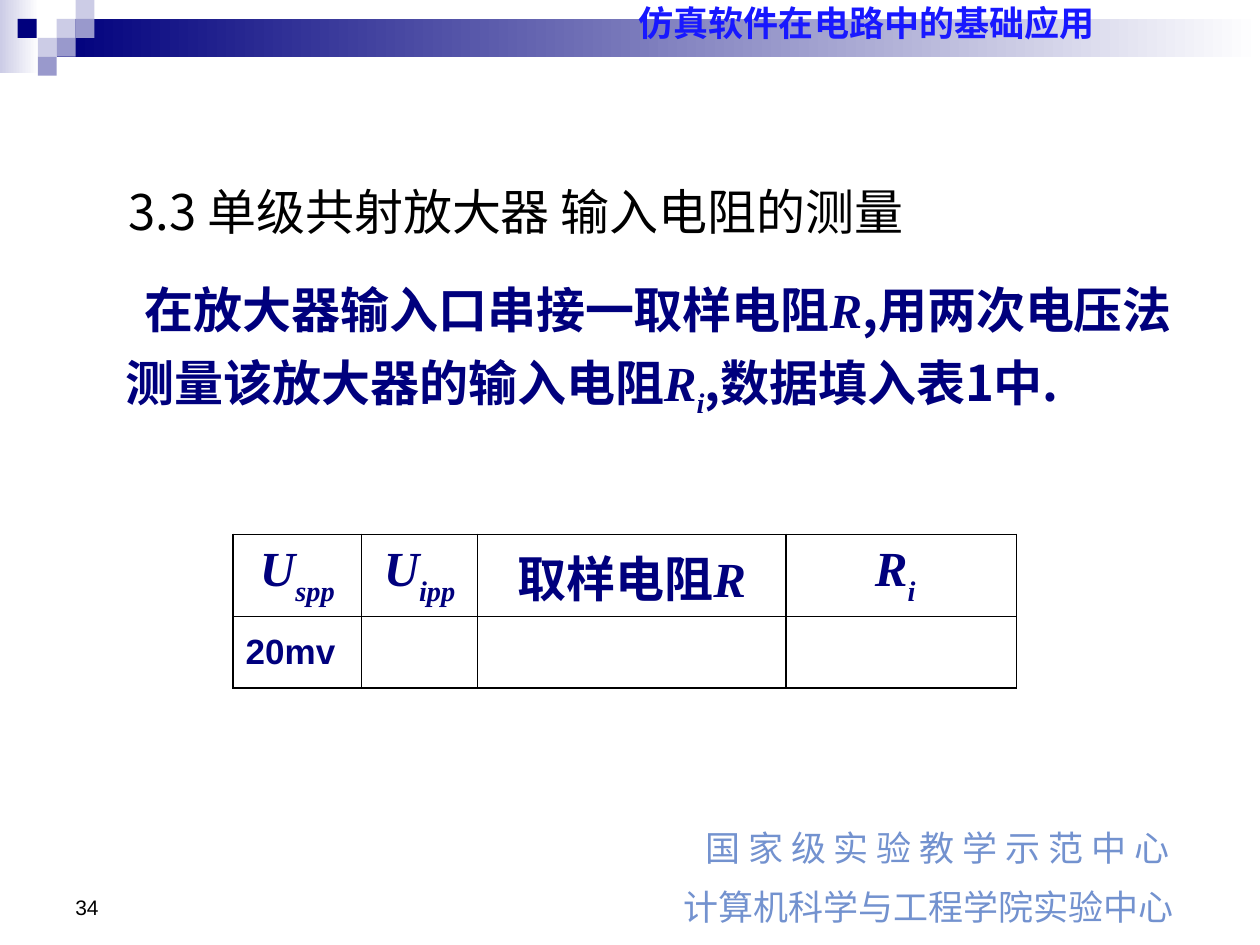
import pptx
import pptx.util
import pptx.dml.color
import pptx.enum.shapes
import pptx.enum.text
import pptx.oxml.ns
from lxml import etree

Inches, Pt = pptx.util.Inches, pptx.util.Pt
ALIGN, ANCHOR = pptx.enum.text.PP_ALIGN, pptx.enum.text.MSO_ANCHOR
qn = pptx.oxml.ns.qn
SANS, SERIF, CJK = "Arial", "Times New Roman", "Noto Sans CJK SC"
NAVY, LILAC, VIOLET = "00007D", "CCCCE6", "9999CC"

# Content: a run is (text, style), with style "" upright, "i" italic, "sub" subscript
header = "仿真软件在电路中的基础应用"
title = "3.3 单级共射放大器 输入电阻的测量"
body = [("在放大器输入口串接一取样电阻", ""), ("R", "i"),
        (",用两次电压法测量该放大器的输入电阻", ""), ("R", "i"), ("i", "sub"),
        (",数据填入表1中.", "")]
columns = [(1.02, [("U", "i"), ("spp", "sub")]),
           (0.92, [("U", "i"), ("ipp", "sub")]),
           (2.45, [("取样电阻", ""), ("R", "i")]),
           (1.83, [("R", "i"), ("i", "sub")])]
first_value = "20mv"
footer = ["国 家 级 实 验 教 学 示 范 中 心", "计算机科学与工程学院实验中心"]
page = "34"

# Decoration: bands are (box, start colour); squares are (left, row, colour)
bands = [((0, 0, 0.31, 0.58), LILAC), ((0.45, 0.15, 9.55, 0.3), NAVY)]
SQUARE = 0.15
squares = [(0.45, 1, LILAC), (0.6, 0, LILAC), (0.6, 1, VIOLET), (0.3, 2, LILAC),
           (0.14, 1, NAVY), (0.45, 2, VIOLET), (0.3, 3, VIOLET)]


def rgb(value):
    return pptx.dml.color.RGBColor.from_string(value)


def add_run(p, text, size=28, font=CJK, color=NAVY, bold=False, italic=False, base=0):
    r = p.add_run()
    r.text = text
    f = r.font
    f.size, f.name, f.bold, f.italic = Pt(size), font, bold, italic
    f.color.rgb = rgb(color)
    rPr = r._r.get_or_add_rPr()
    etree.SubElement(rPr, qn("a:ea")).set("typeface", CJK)
    if base:
        rPr.set("baseline", str(base * 1000))


def add_formula(p, runs, base):
    for text, style in runs:
        add_run(p, text, font=SERIF if style else CJK, bold=True,
                italic=bool(style), base=base if style == "sub" else 0)


def add_box(box, anchor=ANCHOR.TOP):
    tf = s.shapes.add_textbox(*map(Inches, box)).text_frame
    tf.word_wrap, tf.vertical_anchor = True, anchor
    return tf


def add_rect(box):
    sp = s.shapes.add_shape(pptx.enum.shapes.MSO_SHAPE.RECTANGLE, *map(Inches, box))
    sp.shadow.inherit = False
    sp.line.fill.background()
    return sp


def set_borders(cell):
    tcPr = cell._tc.get_or_add_tcPr()
    for i, side in enumerate(("a:lnL", "a:lnR", "a:lnT", "a:lnB")):
        ln = etree.Element(qn(side), w=str(Pt(1)))
        fill = etree.SubElement(ln, qn("a:solidFill"))
        etree.SubElement(fill, qn("a:srgbClr")).set("val", "000000")
        tcPr.insert(i, ln)


prs = pptx.Presentation()
prs.slide_width, prs.slide_height = Inches(10), Inches(7.5)
s = prs.slides.add_slide(prs.slide_layouts[5])

# Top decoration
for box, color in bands:
    fill = add_rect(box).fill
    fill.gradient()
    fill.gradient_angle = 0
    for stop, stop_color in zip(fill.gradient_stops, (color, "FFFFFF")):
        stop.color.rgb = rgb(stop_color)
for left, row, color in squares:
    sp = add_rect((left, row * SQUARE, SQUARE, SQUARE))
    sp.fill.solid()
    sp.fill.fore_color.rgb = rgb(color)

# Header, footer and page number
tf = add_box((5.05, 0, 3.94, 0.36))
tf.margin_left = tf.margin_right = Inches(0.02)
tf.margin_top = tf.margin_bottom = Inches(0.01)
add_run(tf.paragraphs[0], header, size=20, font=SANS, color="1818FF", bold=True)

tf = add_box((4.88, 6.51, 5.12, 0.94))
for i, line in enumerate(footer):
    p = tf.add_paragraph() if i else tf.paragraphs[0]
    p.alignment = ALIGN.CENTER
    if i:
        p.space_before = Pt(10)
        p._p.get_or_add_pPr().set("marR", str(Inches(0.14)))
    add_run(p, line, size=20, color="7392CF")

tf = add_box((0.5, 6.83, 2.33, 0.52), ANCHOR.BOTTOM)
add_run(tf.paragraphs[0], page, size=12, font=SANS, color="000000")

# Title
sp = s.shapes.title
sp.left, sp.top, sp.width, sp.height = map(Inches, (0.92, 1.39, 7.62, 0.57))
tf = sp.text_frame
tf.word_wrap, tf.vertical_anchor = True, ANCHOR.TOP
tf.auto_size = pptx.enum.text.MSO_AUTO_SIZE.NONE
p = tf.paragraphs[0]
p.alignment = ALIGN.LEFT
add_run(p, title, color="000000")

# Body with first-line indent
tf = add_box((0.52, 2.08, 9.06, 1.73))
tf.margin_right = Inches(0.2)
p = tf.paragraphs[0]
p.line_spacing = 1.2
pPr = p._p.get_or_add_pPr()
pPr.set("marL", str(Inches(0.38)))
pPr.set("indent", str(Inches(0.15)))
add_formula(p, body, base=-25)

# Measurement table
table = s.shapes.add_table(2, len(columns), *map(Inches, (1.85, 4.24, 6.22, 1.13))).table
table.first_row = table.horz_banding = False
for row in table.rows:
    row.height = Inches(0.57)
for i, (width, heading) in enumerate(columns):
    table.columns[i].width = Inches(width)
    p = table.cell(0, i).text_frame.paragraphs[0]
    p.alignment = ALIGN.CENTER
    add_formula(p, heading, base=-30)
add_run(table.cell(1, 0).text_frame.paragraphs[0], first_value, size=20, font=SANS, bold=True)
table.cell(0, len(columns) - 1).margin_right = Inches(0.2)
for cell in table.iter_cells():
    cell.vertical_anchor = ANCHOR.MIDDLE
    cell.fill.background()
    set_borders(cell)

prs.save("out.pptx")
